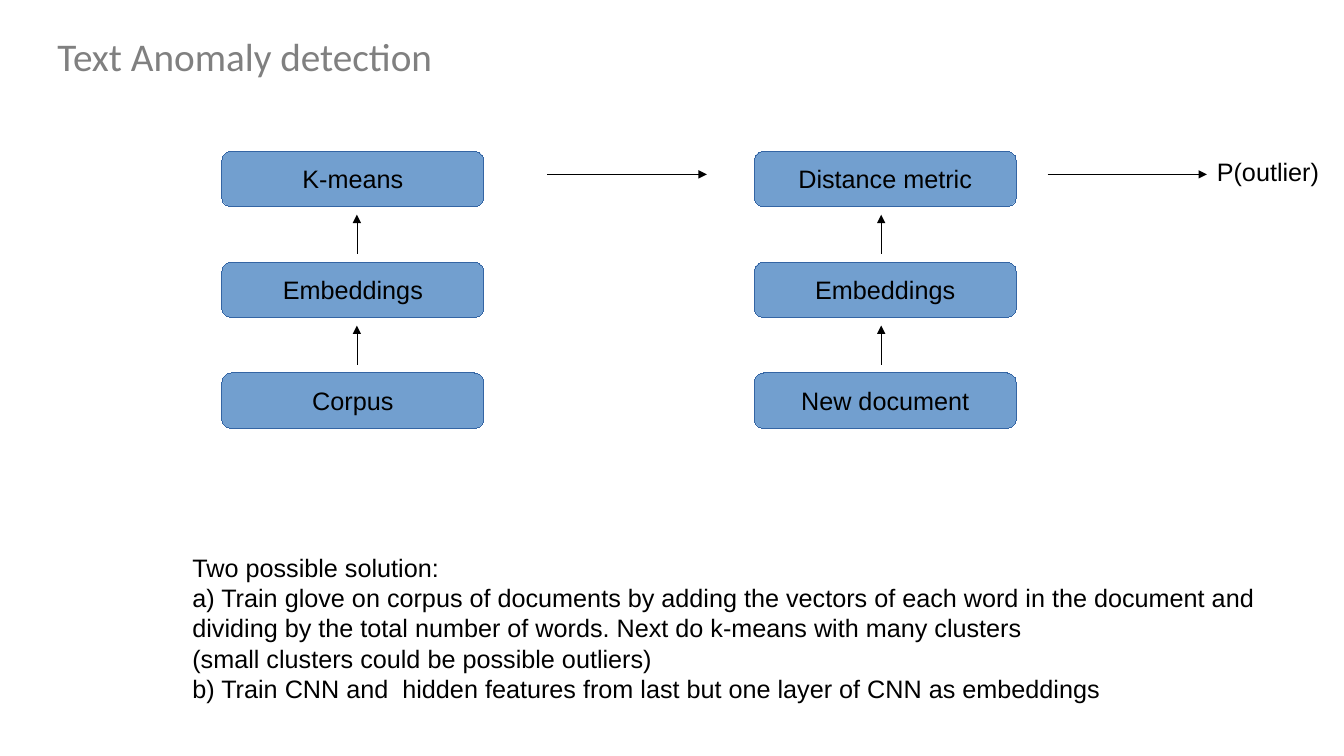
"""Build the text anomaly detection slide."""
from lxml.etree import SubElement
from pptx import Presentation
from pptx.dml.color import RGBColor
from pptx.enum.shapes import MSO_CONNECTOR, MSO_SHAPE
from pptx.enum.text import MSO_ANCHOR, MSO_AUTO_SIZE, PP_ALIGN
from pptx.oxml.ns import qn
from pptx.util import Inches, Pt

COLORS = {"box": "729FCF", "edge": "3465A4", "text": "000000", "title": "808080"}
HAIRLINE = Pt(0.01)
BOX_W, BOX_H = 2.6, 0.55
TOP, ROW_STEP = 1.5, 1.1
COLUMNS = [
    (2.2, 3.54, ["K-means", "Embeddings", "Corpus"]),
    (7.48, 8.74, ["Distance metric", "Embeddings", "New document"]),
]
NOTES = [
    "Two possible solution:",
    "a) Train glove on corpus of documents by adding the vectors of each word in the document and",
    "dividing by the total number of words. Next do k-means with many clusters",
    "(small clusters could be possible outliers)",
    "b) Train CNN and  hidden features from last but one layer of CNN as embeddings",
]


def rgb(name):
    """Return the named colour."""
    return RGBColor.from_string(COLORS[name])


def write(tf, lines, size=18, font="Arial", color="text", align=PP_ALIGN.LEFT,
          anchor=MSO_ANCHOR.TOP, wrap=True, fit=MSO_AUTO_SIZE.NONE, spacing=None):
    """Fill a text frame with one paragraph per line."""
    tf.word_wrap, tf.auto_size, tf.vertical_anchor = wrap, fit, anchor
    for i, line in enumerate(lines):
        p = tf.add_paragraph() if i else tf.paragraphs[0]
        p.alignment, p.line_spacing = align, spacing
        r = p.add_run()
        r.text = line
        r.font.size, r.font.name = Pt(size), font
        r.font.color.rgb = rgb(color)


def add_title(s, text):
    """Place and format the slide title."""
    sp = s.shapes.title
    sp.left, sp.top = Inches(0.47), Inches(-0.14)
    sp.width, sp.height = Inches(11.5), Inches(1.45)
    write(sp.text_frame, [text], size=28, font="Calibri", color="title",
          anchor=MSO_ANCHOR.MIDDLE, spacing=0.9)


def add_box(s, x, y, text):
    """Add a rounded box with centred text."""
    sp = s.shapes.add_shape(MSO_SHAPE.ROUNDED_RECTANGLE, Inches(x), Inches(y),
                            Inches(BOX_W), Inches(BOX_H))
    sp.shadow.inherit = False
    sp.fill.solid()
    sp.fill.fore_color.rgb = rgb("box")
    sp.line.color.rgb = rgb("edge")
    sp.line.width = HAIRLINE
    write(sp.text_frame, [text], align=PP_ALIGN.CENTER, anchor=MSO_ANCHOR.MIDDLE,
          wrap=False)


def add_arrow(s, x1, y1, x2, y2):
    """Add a hairline arrow."""
    line = s.shapes.add_connector(MSO_CONNECTOR.STRAIGHT, Inches(x1), Inches(y1),
                                  Inches(x2), Inches(y2))
    line.line.color.rgb = rgb("text")
    line.line.width = HAIRLINE
    SubElement(line.line._get_or_add_ln(), qn("a:tailEnd"), type="triangle")
    SubElement(line._element.spPr, qn("a:effectLst"))


def add_text(s, x, y, w, h, lines):
    """Add a free text box with no right margin, so its lines fit."""
    sp = s.shapes.add_textbox(Inches(x), Inches(y), Inches(w), Inches(h))
    sp.text_frame.margin_right = 0
    write(sp.text_frame, lines, fit=MSO_AUTO_SIZE.SHAPE_TO_FIT_TEXT)


def main():
    """Build and save the slide."""
    prs = Presentation()
    prs.slide_width, prs.slide_height = Inches(13.33), Inches(7.5)
    s = prs.slides.add_slide(prs.slide_layouts[5])
    add_title(s, "Text Anomaly detection")
    for left, arrow_x, labels in COLUMNS:
        for row, label in enumerate(labels):
            y = TOP + row * ROW_STEP
            add_box(s, left, y, label)
            if row:
                add_arrow(s, arrow_x, y - 0.08, arrow_x, y - 0.47)
    for x in (5.43, 10.39):
        add_arrow(s, x, 1.73, x + 1.58, 1.73)
    add_text(s, 11.97, 1.5, 1.21, 0.38, ["P(outlier)"])
    add_text(s, 1.81, 5.43, 10.8, 1.5, NOTES)
    prs.save("out.pptx")


if __name__ == "__main__":
    main()
